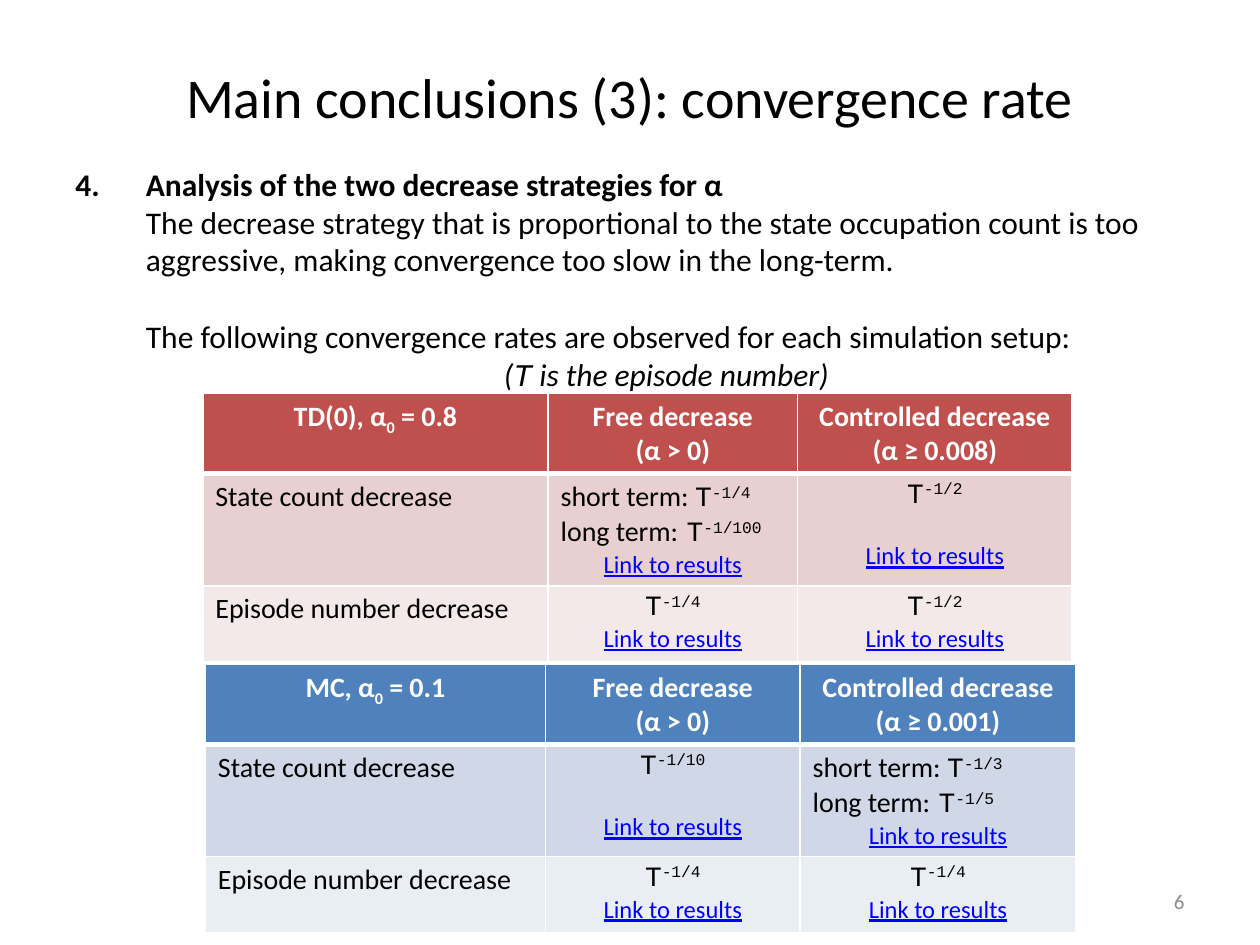
from dataclasses import dataclass

from lxml import etree
from pptx import Presentation
from pptx import util as u
from pptx.dml.color import RGBColor
from pptx.enum import text
from pptx.oxml import ns


@dataclass(frozen=True)
class Theme:
    font: str = "Calibri"
    mono: str = "Courier New"
    black: str = "000000"
    white: str = "FFFFFF"
    grey: str = "8C8C8C"
    link: str = "0000FF"
    red: tuple = ("C0504D", "E8D0D0", "F4E9E9")
    blue: tuple = ("4F81BD", "D0D8E8", "E9EDF4")
    title_size: int = 32
    body_size: int = 18
    table_size: int = 16
    link_size: int = 14
    number_size: int = 12


THEME = Theme()
LEFT, CENTER, RIGHT = text.PP_ALIGN.LEFT, text.PP_ALIGN.CENTER, text.PP_ALIGN.RIGHT


def add_run(paragraph, content, size=THEME.body_size, color=THEME.black, font=THEME.font,
            bold=False, italic=False, underline=False, baseline=0):
    run = paragraph.add_run()
    run.text = content
    run.font.name = font
    run.font.size = u.Pt(size)
    run.font.bold = bold
    run.font.italic = italic
    run.font.underline = underline
    run.font.color.rgb = RGBColor.from_string(color)
    if baseline:
        run.font._element.set("baseline", str(baseline * 1000))


def add_paragraph(frame, runs, align=LEFT, before=0, indent=0, hanging=0, number=None, tab=None, **style):
    first = frame.paragraphs[0]
    paragraph = frame.add_paragraph() if first.runs else first
    paragraph.alignment = align
    paragraph.space_before = u.Pt(before)
    properties = paragraph._p.get_or_add_pPr()
    properties.set("marL", str(u.Inches(indent)))
    properties.set("indent", str(u.Inches(-hanging)))
    if number:
        bullet = etree.SubElement(properties, ns.qn("a:buFont"))
        bullet.set("typeface", "+mj-lt")
        bullet = etree.SubElement(properties, ns.qn("a:buAutoNum"))
        bullet.set("type", "arabicPeriod")
        bullet.set("startAt", str(number))
    if tab:
        stops = etree.SubElement(properties, ns.qn("a:tabLst"))
        stop = etree.SubElement(stops, ns.qn("a:tab"))
        stop.set("pos", str(u.Inches(tab)))
        stop.set("algn", "l")
    for content, extra in runs:
        add_run(paragraph, content, **{**style, **extra})


def set_borders(cell, bottom):
    properties = cell._tc.get_or_add_tcPr()
    for position, (side, width) in enumerate((("L", 1), ("R", 1), ("T", 1), ("B", bottom))):
        line = etree.Element(ns.qn(f"a:ln{side}"), w=str(u.Pt(width)))
        fill = etree.SubElement(line, ns.qn("a:solidFill"))
        etree.SubElement(fill, ns.qn("a:srgbClr"), val=THEME.white)
        properties.insert(position, line)


def plain(content, **paragraph_format):
    return [([(content, {})], paragraph_format)]


def rate(exponent, label=""):
    runs = [(label, {})] if label else []
    runs += [("T", {"font": THEME.mono}), (exponent, {"font": THEME.mono, "baseline": 30})]
    return runs, {"tab": 1.09} if label else {"align": CENTER}


def result_link(before=0):
    style = {"size": THEME.link_size, "color": THEME.link, "underline": True}
    return [("Link to results", style)], {"align": CENTER, "before": before}


def single_rate(exponent, before=0):
    return [rate(exponent), result_link(before)]


def split_rate(short, long):
    return [rate(short, "short term: "), rate(long, "long term:\t"), result_link()]


class SlideBuilder:
    def __init__(self, presentation, theme):
        self.theme = theme
        self.slide = presentation.slides.add_slide(presentation.slide_layouts[5])

    def title(self, content, box):
        shape = self.slide.shapes.title
        shape.left, shape.top, shape.width, shape.height = map(u.Inches, box)
        shape.text_frame.vertical_anchor = text.MSO_ANCHOR.MIDDLE
        add_paragraph(shape.text_frame, [(content, {})], align=CENTER, size=self.theme.title_size)

    def text_box(self, box, paragraphs, anchor=text.MSO_ANCHOR.TOP):
        frame = self.slide.shapes.add_textbox(*map(u.Inches, box)).text_frame
        frame.word_wrap = True
        frame.vertical_anchor = anchor
        for runs, options in paragraphs:
            add_paragraph(frame, runs, **options)

    def rate_table(self, left, top, widths, colors, method, alpha, floor, count_rates, episode_rates):
        heights = (0.64, 0.89, 0.58)
        box = (left, top, sum(widths), sum(heights))
        table = self.slide.shapes.add_table(3, 3, *map(u.Inches, box)).table
        for column, width in zip(table.columns, widths):
            column.width = u.Inches(width)
        for row, height in zip(table.rows, heights):
            row.height = u.Inches(height)
        heading = [(f"{method}, α", {}), ("0", {"baseline": -25}), (f" = {alpha}", {})]
        rows = (
            ([(heading, {"align": CENTER})],
             plain("Free decrease", align=CENTER) + plain("(α > 0)", align=CENTER),
             plain(f"Controlled decrease (α ≥ {floor})", align=CENTER)),
            (plain("State count decrease"), *count_rates),
            (plain("Episode number decrease"), *episode_rates),
        )
        for row_index, contents in enumerate(rows):
            header = row_index == 0
            color = self.theme.white if header else self.theme.black
            for column_index, paragraphs in enumerate(contents):
                cell = table.cell(row_index, column_index)
                cell.fill.solid()
                cell.fill.fore_color.rgb = RGBColor.from_string(colors[row_index])
                set_borders(cell, 3 if header else 1)
                for runs, options in paragraphs:
                    add_paragraph(cell.text_frame, runs, size=self.theme.table_size,
                                  color=color, bold=header, **options)


def main():
    presentation = Presentation()
    presentation.slide_width, presentation.slide_height = u.Inches(10), u.Inches(7.5)
    builder = SlideBuilder(presentation, THEME)
    builder.title("Main conclusions (3): convergence rate", (0.5, 0.3, 9, 0.93))
    caption = [("(", {}), ("T", {"font": THEME.mono}), (" is the episode number)", {})]
    builder.text_box((0.5, 1.26, 9, 5.67), [
        *plain("Analysis of the two decrease strategies for α",
               indent=0.56, hanging=0.56, number=4, bold=True),
        *plain("The decrease strategy that is proportional to the state occupation count is too "
               "aggressive, making convergence too slow in the long-term.", indent=0.56),
        *plain("The following convergence rates are observed for each simulation setup:",
               indent=0.56, before=22),
        (caption, {"indent": 3.4, "italic": True}),
    ])
    builder.text_box((7.17, 6.95, 2.33, 0.4),
                     plain("6", align=RIGHT, size=THEME.number_size, color=THEME.grey),
                     anchor=text.MSO_ANCHOR.MIDDLE)
    builder.rate_table(1.63, 5.27, (2.7, 2.02, 2.19), THEME.blue, "MC", "0.1", "0.001",
                       (single_rate("-1/10", before=17), split_rate("-1/3", "-1/5")),
                       (single_rate("-1/4"), single_rate("-1/4")))
    builder.rate_table(1.61, 3.12, (2.74, 1.98, 2.18), THEME.red, "TD(0)", "0.8", "0.008",
                       (split_rate("-1/4", "-1/100"), single_rate("-1/2", before=17)),
                       (single_rate("-1/4"), single_rate("-1/2")))
    presentation.save("out.pptx")


if __name__ == "__main__":
    main()
